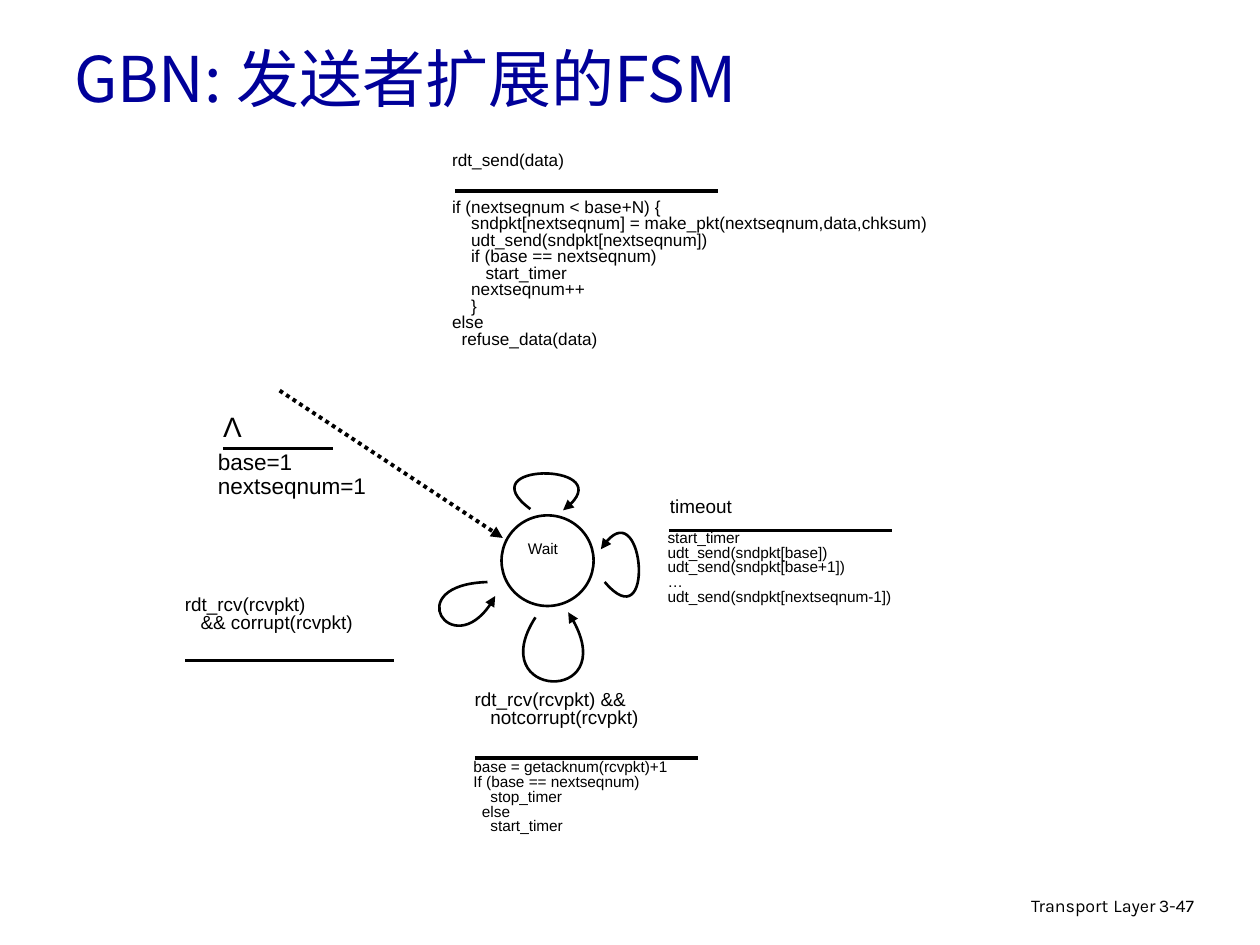
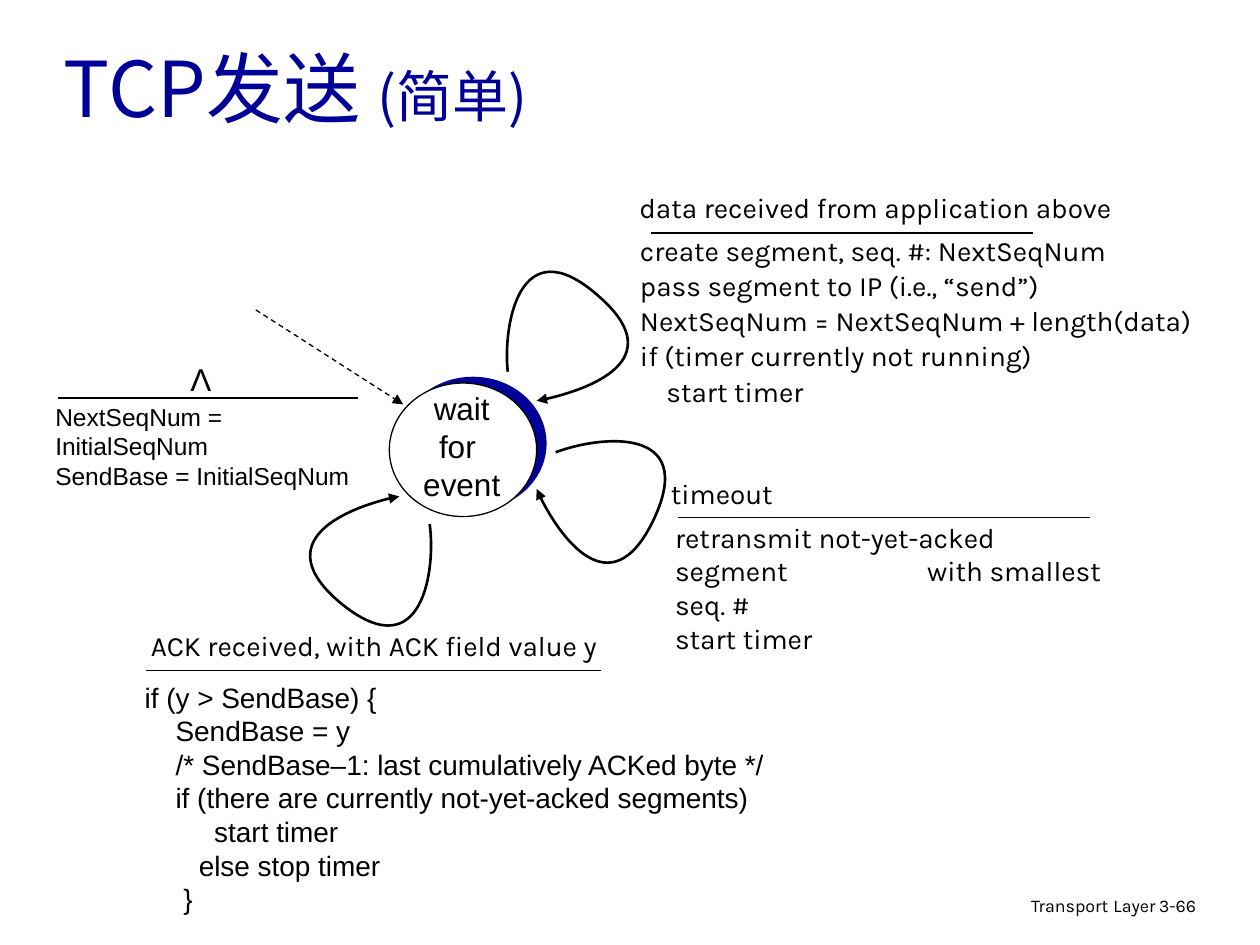
"""Two finite state machine slides: the GBN sender and the simplified TCP sender."""
from lxml import etree
from pptx import Presentation
from pptx import util as u
from pptx.dml import color
from pptx.enum import dml, shapes, text
from pptx.oxml import ns

Pt = u.Pt
BLACK, WHITE, NAVY = "000000", "FFFFFF", "000099"
SANS, KARLA, CJK = "Arial", "Karla", "Noto Sans CJK SC"
LEFT, CENTER, RIGHT = text.PP_ALIGN.LEFT, text.PP_ALIGN.CENTER, text.PP_ALIGN.RIGHT


def rgb(value):
    """Turn a hex string into a colour."""
    return color.RGBColor.from_string(value)


def add_run(p, words, size, font, ink):
    """Add one run, with its font set for Latin and East Asian letters."""
    r = p.add_run()
    r.text = words
    r.font.size = Pt(size)
    r.font.name = font
    r.font.color.rgb = rgb(ink)
    latin = r.font._element.find(ns.qn("a:latin"))
    latin.addnext(etree.Element(ns.qn("a:ea"), typeface=font))


def add_text(s, box, lines, size, font=SANS, ink=BLACK, align=LEFT, spacing=1.0,
             wrap=True, anchor=text.MSO_ANCHOR.TOP, tab=None):
    """Add a text box; a line is a string or a list of (words, size) runs."""
    sp = s.shapes.add_textbox(*map(Pt, box))
    tf = sp.text_frame
    tf.word_wrap = wrap
    tf.vertical_anchor = anchor
    for i, line in enumerate(lines):
        p = tf.paragraphs[0] if i == 0 else tf.add_paragraph()
        p.alignment = align
        p.line_spacing = spacing
        if tab:
            stops = etree.SubElement(p._p.get_or_add_pPr(), ns.qn("a:tabLst"))
            etree.SubElement(stops, ns.qn("a:tab"), pos=str(Pt(tab)), algn="l")
        for words, run_size in [(line, size)] if isinstance(line, str) else line:
            add_run(p, words, run_size, font, ink)


def style_line(line, width, dash=None, arrow=False):
    """Give a line its colour, width, dash and arrowhead."""
    line.color.rgb = rgb(BLACK)
    line.width = Pt(width)
    if dash:
        line.dash_style = dash
    if arrow:
        etree.SubElement(line._get_or_add_ln(), ns.qn("a:tailEnd"), type="triangle")


def add_line(s, x1, y1, x2, y2, width, dash=None, arrow=False):
    """Add a straight line without shadow."""
    sp = s.shapes.add_connector(shapes.MSO_CONNECTOR.STRAIGHT, *map(Pt, (x1, y1, x2, y2)))
    style_line(sp.line, width, dash, arrow)
    etree.SubElement(sp._element.spPr, ns.qn("a:effectLst"))


def add_rule(s, x1, x2, y, width):
    """Add the horizontal rule between an event and its actions."""
    add_line(s, x1, y, x2, y, width)


def add_state(s, box, fill, width=None):
    """Add a state ellipse, outlined when a width is given."""
    sp = s.shapes.add_shape(shapes.MSO_SHAPE.OVAL, *map(Pt, box))
    sp.shadow.inherit = False
    sp.fill.solid()
    sp.fill.fore_color.rgb = rgb(fill)
    if width:
        style_line(sp.line, width)
    else:
        sp.line.fill.background()


def add_loop(s, points):
    """Add a curved arrow through a start point and triples of Bézier points."""
    start, *rest = [(Pt(x), Pt(y)) for x, y in points]
    builder = s.shapes.build_freeform(*start)
    builder.add_line_segments(rest, close=False)
    sp = builder.convert_to_shape()
    sp.shadow.inherit = False
    sp.fill.background()
    style_line(sp.line, 1.5, arrow=True)
    segments = sp._element.xpath(".//a:lnTo")
    for i in range(0, len(segments), 3):
        curve = etree.Element(ns.qn("a:cubicBezTo"))
        segments[i].addprevious(curve)
        for segment in segments[i:i + 3]:
            curve.append(segment[0])
            segment.getparent().remove(segment)


def new_slide(prs, number, title_box, title):
    """Add a blank slide with its footer, number and title."""
    s = prs.slides.add_slide(prs.slide_layouts[6])
    add_text(s, (439.2, 507.6, 228.2, 22.3),
             [[("Transport", 10.2), (" ", 11.9), ("Layer", 10.2)]],
             10.2, KARLA, align=RIGHT, spacing=0.9)
    add_text(s, (655.2, 509, 53.3, 21.6), [number], 10.2, KARLA, spacing=0.9)
    add_text(s, title_box, [title], 36, CJK, NAVY, anchor=text.MSO_ANCHOR.MIDDLE)
    return s


def gbn_slide(prs):
    """Build the GBN sender slide."""
    s = new_slide(prs, "3-47", (35.3, 16.6, 612, 55.4), "GBN: 发送者扩展的FSM")

    add_state(s, (286.6, 294.5, 52.6, 51.8), WHITE, 1.5)
    add_text(s, (278.6, 306.7, 63.4, 18.7), ["Wait"], 8.8, align=CENTER, spacing=0.8)
    add_line(s, 159.8, 223.2, 287.3, 307.4, 2.25, dml.MSO_LINE.ROUND_DOT, arrow=True)
    for loop in (
        [(345.6, 332.6), (374.4, 366.5), (367.9, 275.8), (343.4, 313.9)],
        [(303.1, 290.9), (267.1, 264.2), (358.6, 264.2), (321.8, 291.6)],
        [(306, 352.8), (275.8, 399.6), (359.3, 403.2), (324.7, 349.9)],
        [(278.6, 332.6), (228.2, 334.1), (260.6, 382.3), (283, 340.6)],
    ):
        add_loop(s, loop)

    for rule in ((382.3, 509.8, 303.1, 1.5), (259.9, 410.4, 109.4, 2.25),
                 (271.4, 398.9, 433.4, 2.25), (127.4, 190.1, 256.3, 1.5),
                 (105.8, 225.4, 377.3, 1.5)):
        add_rule(s, *rule)

    add_text(s, (120.2, 230.4, 25.2, 26.6), ["Λ"], 16, align=CENTER, wrap=False)
    add_text(s, (117.4, 254.2, 116.6, 39.6), ["base=1", "nextseqnum=1"], 12.9, spacing=0.9)

    for box, size, lines in (
        ((251.3, 84.2, 183.6, 20.2), 9.8, ["rdt_send(data)"]),
        ((251.3, 110.9, 434.9, 115.2), 9.8, [
            "if (nextseqnum < base+N) {",
            "    sndpkt[nextseqnum] = make_pkt(nextseqnum,data,chksum)",
            "    udt_send(sndpkt[nextseqnum])",
            "    if (base == nextseqnum)",
            "       start_timer",
            "    nextseqnum++",
            "    }",
            "else",
            "  refuse_data(data)"]),
        ((375.8, 281.5, 86.4, 21.6), 10.8, ["timeout"]),
        ((374.4, 300.2, 218.9, 65.5), 8.8, [
            "start_timer",
            "udt_send(sndpkt[base])",
            "udt_send(sndpkt[base+1])",
            "…",
            "udt_send(sndpkt[nextseqnum-1])"]),
        ((264.2, 391.7, 223.2, 35.3), 10.8, ["rdt_rcv(rcvpkt) &&", "   notcorrupt(rcvpkt)"]),
        ((263.5, 431.3, 290.2, 65.5), 8.8, [
            "base = getacknum(rcvpkt)+1",
            "If (base == nextseqnum)",
            "    stop_timer",
            "  else",
            "    start_timer"]),
        ((98.6, 337.7, 161.3, 35.3), 10.8, ["rdt_rcv(rcvpkt)", "   && corrupt(rcvpkt)"]),
    ):
        add_text(s, box, lines, size, spacing=0.8)


def tcp_slide(prs):
    """Build the simplified TCP sender slide."""
    s = new_slide(prs, "3-66", (29.5, 14.4, 609.1, 70.6), [("TCP发送 ", 44), ("(简单)", 32)])

    add_state(s, (228.2, 215.3, 84.2, 76.3), NAVY)
    add_state(s, (222.5, 218.9, 84.2, 76.3), WHITE, 0.75)
    add_text(s, (234.7, 218.9, 58.3, 72), ["wait", "for ", "event"], 18,
             align=CENTER, wrap=False)
    add_line(s, 146.2, 177.1, 230.4, 231.1, 0.75, dml.MSO_LINE.DASH, arrow=True)
    for loop in (
        [(290.2, 212.4), (287.3, 186.5), (296.6, 129.6), (341.3, 168.5),
         (385.9, 206.6), (325.4, 226.1), (306.7, 229)],
        [(317.5, 258.5), (342, 249.1), (398.9, 242.6), (373.7, 296.6),
         (348.5, 349.9), (313.2, 296.6), (306.7, 279.4)],
        [(245.5, 299.5), (249.1, 324.7), (241.9, 382.3), (195.8, 345.6),
         (149.8, 308.2), (209.5, 286.6), (228.2, 283.7)],
    ):
        add_loop(s, loop)

    for rule in ((33.1, 204.5, 227.5), (372.2, 590.4, 133.2),
                 (387.4, 622.8, 295.9), (83.5, 343.4, 383)):
        add_rule(s, *rule, 0.75)

    for box, size, font, event in (
        ((101.5, 202.3, 26.6, 28.8), 18, SANS, "Λ"),
        ((354.2, 105.1, 292.3, 26.6), 16, KARLA, "data received from application above"),
        ((375.8, 268.6, 73.4, 26.6), 16, KARLA, "timeout"),
        ((73.4, 355.7, 284.4, 26.6), 16, KARLA, "ACK received, with ACK field value y "),
    ):
        add_text(s, box, [event], size, font, align=CENTER, wrap=False)

    add_text(s, (24.5, 226.1, 200.9, 41),
             ["NextSeqNum = InitialSeqNum", "SendBase = InitialSeqNum"], 14, wrap=False)
    add_text(s, (358.6, 128.9, 344.2, 127.4), [
        "create segment, seq. #: NextSeqNum",
        "pass segment to IP (i.e., “send”)",
        "NextSeqNum = NextSeqNum + length(data)",
        "if (timer currently not running)",
        "    start timer"], 16, KARLA, spacing=1.05, wrap=False)
    add_text(s, (378.7, 293.8, 259.2, 84.2), [
        "retransmit not-yet-acked segment\twith smallest seq. #",
        "start timer"], 16, KARLA, tab=144)
    add_text(s, (75.6, 385.2, 369.4, 141.8), [
        "if (y > SendBase) {",
        "    SendBase = y",
        "    /* SendBase–1: last cumulatively ACKed byte */",
        "    if (there are currently not-yet-acked segments)",
        "         start timer",
        "       else stop timer",
        "     }"], 16, wrap=False)


def main():
    """Build and save the two slides."""
    prs = Presentation()
    prs.slide_width, prs.slide_height = Pt(720), Pt(540)
    gbn_slide(prs)
    tcp_slide(prs)
    prs.save("out.pptx")


if __name__ == "__main__":
    main()
